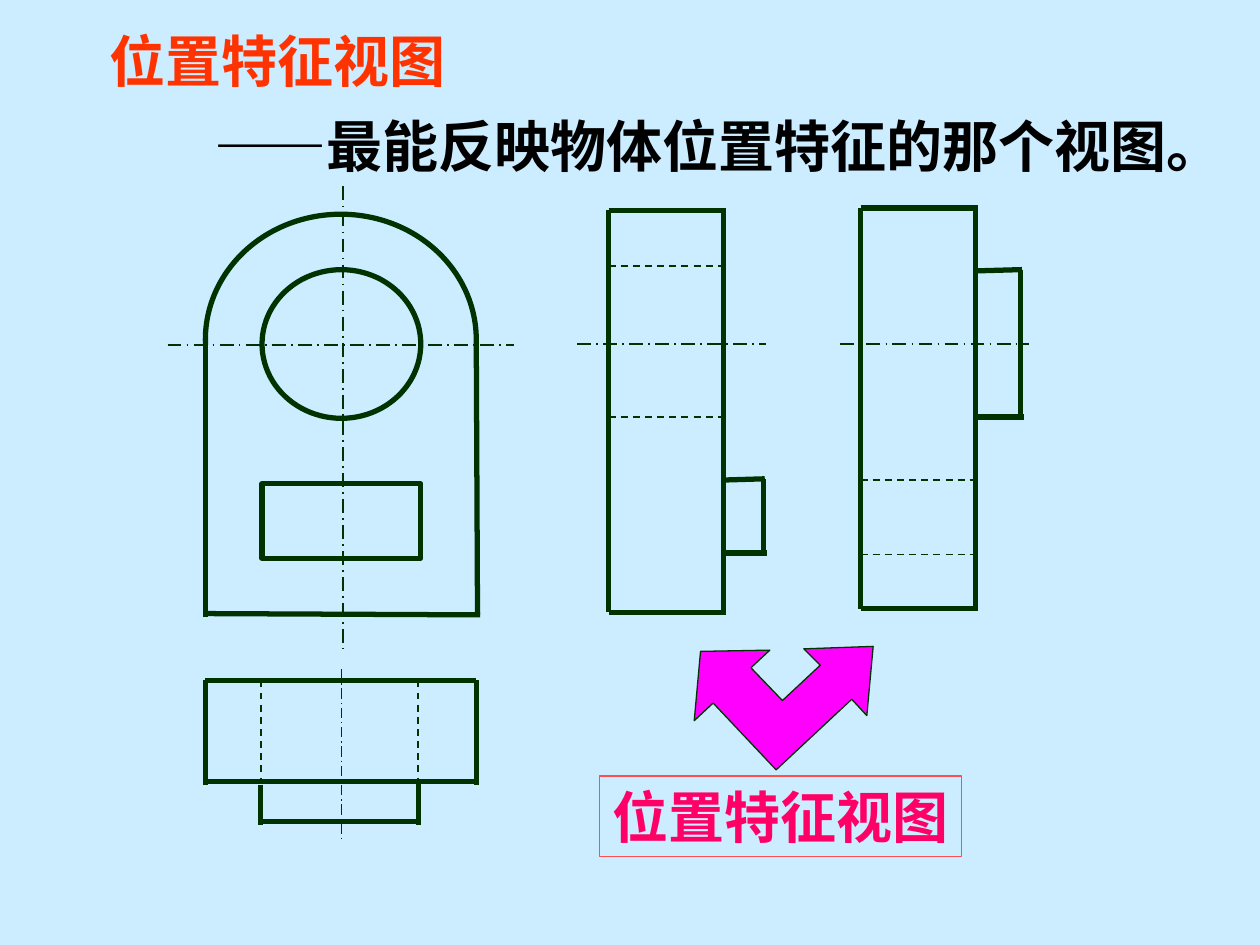
from dataclasses import dataclass

from lxml import etree
from pptx import Presentation, util as u
from pptx.dml.color import RGBColor
from pptx.enum import dml, shapes, text
from pptx.oxml.ns import qn


@dataclass(frozen=True)
class Theme:
    background: str = "CCECFF"
    ink: str = "003300"
    arrow: str = "FF00FF"
    frame: str = "FF5050"
    heading: str = "FF3300"
    label: str = "FF0066"
    body: str = "000000"
    size: int = 32
    thin: float = 0.75
    cjk: str = "Noto Sans CJK SC"
    latin: str = "Times New Roman"


THEME = Theme()
PEN = {  # width in points, dash
    "outline": (3, None),
    "hidden": (1, dml.MSO_LINE.DASH),
    "axis": (1, dml.MSO_LINE.LONG_DASH_DOT),
    "fine axis": (0.75, dml.MSO_LINE.LONG_DASH_DOT),
}
FRAME_FORMAT = {
    "word_wrap": False,
    "auto_size": text.MSO_AUTO_SIZE.NONE,
    "vertical_anchor": text.MSO_ANCHOR.MIDDLE,
    "margin_left": u.Inches(0.1),
    "margin_right": u.Inches(0.1),
    "margin_top": u.Inches(0.05),
    "margin_bottom": u.Inches(0.05),
}

# Levels and columns shared by the views (inches)
LEFT, RIGHT = 1.63, 3.78
HOLE_LEFT, HOLE_WIDTH = 2.08, 1.26
CENTRE, AXIS = 2.72, 2.74
HOLE_TOP, HOLE_BOTTOM = 2.14, 3.31
BLOCK_TOP, BLOCK_BOTTOM = 3.81, 4.4


def rgb(value):
    return RGBColor.from_string(value)


def inches(*values):
    return [u.Inches(value) for value in values]


def paint(shape, fill=None, line=THEME.ink, width=THEME.thin):
    shape.shadow.inherit = False
    if fill:
        shape.fill.solid()
        shape.fill.fore_color.rgb = rgb(fill)
    else:
        shape.fill.background()
    shape.line.color.rgb = rgb(line)
    shape.line.width = u.Pt(width)


def add_preset(slide, kind, box, **look):
    shape = slide.shapes.add_shape(kind, *inches(*box))
    paint(shape, **look)
    return shape


def add_strokes(slide, pen, *strokes):
    """Draw straight strokes, each given as x1, y1, x2, y2."""
    width, dash = PEN[pen]
    for ends in strokes:
        stroke = slide.shapes.add_connector(
            shapes.MSO_CONNECTOR.STRAIGHT, *inches(*ends))
        stroke.line.color.rgb = rgb(THEME.ink)
        stroke.line.width = u.Pt(width)
        if dash:
            stroke.line.dash_style = dash
        etree.SubElement(stroke._element.spPr, qn("a:effectLst"))


def write(shape, runs, color, align=text.PP_ALIGN.LEFT):
    """Fill a shape with one line of (wording, Latin font) runs."""
    for name, value in FRAME_FORMAT.items():
        setattr(shape.text_frame, name, value)
    line = shape.text_frame.paragraphs[0]
    line.alignment = align
    for wording, face in runs:
        run = line.add_run()
        run.text = wording
        font_format = {"size": u.Pt(THEME.size), "bold": True, "name": face}
        for name, value in font_format.items():
            setattr(run.font, name, value)
        run.font.color.rgb = rgb(color)
        east_asian = etree.SubElement(run.font._element, qn("a:ea"))
        east_asian.set("typeface", THEME.cjk)


def add_heading(slide, wording):
    title = slide.shapes.title
    places = zip(("left", "top", "width", "height"),
                 inches(0.77, 0.16, 2.87, 0.64))
    for name, value in places:
        setattr(title, name, value)
    write(title, [(wording, THEME.cjk)], THEME.heading)


def add_definition(slide):
    definition = slide.shapes.add_textbox(*inches(1.6, 0.83, 8.31, 0.64))
    write(definition, [("——", THEME.latin),
                       ("最能反映物体位置特征的那个视图。", THEME.cjk)], THEME.body)


def draw_front_view(slide):
    preset = shapes.MSO_SHAPE
    add_preset(slide, preset.OVAL, (LEFT, 1.7, RIGHT - LEFT, 1.99), width=3)
    # Hides the lower half of the ellipse, leaving the arch
    add_preset(slide, preset.RECTANGLE, (1.48, AXIS, 2.45, 1.03),
               fill=THEME.background, line=THEME.background)
    add_strokes(slide, "axis", (CENTRE, 1.48, CENTRE, 5.15))
    add_preset(slide, preset.OVAL,
               (HOLE_LEFT, HOLE_TOP, HOLE_WIDTH, 1.18), width=3)
    add_strokes(slide, "outline",
                (LEFT, 2.73, LEFT, 4.9),
                (RIGHT, 2.73, 3.79, 4.88),
                (LEFT, 4.87, 3.81, 4.88))
    add_preset(slide, preset.RECTANGLE,
               (HOLE_LEFT, 3.84, HOLE_WIDTH, 0.59), width=3)
    add_strokes(slide, "axis", (1.33, AXIS, 4.08, AXIS))


def draw_top_view(slide):
    back, front, step = 5.4, 6.2, 6.52
    block_left, block_right = 2.07, 3.32
    add_strokes(slide, "fine axis", (2.71, 5.31, 2.71, 6.69))
    add_strokes(slide, "outline",
                *((LEFT, y, RIGHT, y) for y in (back, front)),
                *((x, back, x, 6.23) for x in (LEFT, RIGHT)),
                (block_left, 6.23, block_left, 6.55),
                (block_left, step, block_right, step),
                (block_right, front, block_right, 6.55))
    add_strokes(slide, "hidden",
                (block_left, back, block_left, front),
                (block_right, back, block_right, 6.18))


def draw_side_view(slide, plate, block, hidden_levels, axis_start):
    """Draw a plate (left, top, right, bottom) with a block on its right.

    The block is given as top, right, bottom and the slope of its top edge.
    """
    left, top, right, bottom = plate
    block_top, block_right, block_bottom, slope = block
    add_strokes(slide, "outline",
                *((x, top, x, bottom) for x in (left, right)),
                *((left, y, right + 0.02, y) for y in (top, bottom)),
                (block_right, block_top, block_right, block_bottom + 0.02),
                (right, block_top + slope, block_right + 0.01, block_top),
                (right, block_bottom, block_right + 0.03, block_bottom))
    add_strokes(slide, "axis", (axis_start, 2.73, axis_start + 1.5, 2.73))
    add_strokes(slide, "hidden",
                *((left, y, right, y) for y in hidden_levels))


def draw_double_arrow(slide):
    corners = [(6.93, 5.13), (6.38, 5.15), (6.51, 5.28), (6.21, 5.56),
               (5.96, 5.3), (6.11, 5.16), (5.56, 5.17), (5.51, 5.72),
               (5.66, 5.58), (6.16, 6.11), (6.76, 5.55), (6.88, 5.68)]
    start, *rest = [inches(*corner) for corner in corners]
    builder = slide.shapes.build_freeform(*start)
    builder.add_line_segments(rest, close=True)
    paint(builder.convert_to_shape(), fill=THEME.arrow)


def add_framed_label(slide, wording):
    label = add_preset(slide, shapes.MSO_SHAPE.RECTANGLE,
                       (4.76, 6.16, 2.87, 0.64), line=THEME.frame)
    write(label, [(wording, THEME.cjk)], THEME.label, text.PP_ALIGN.CENTER)


def main():
    deck = Presentation()
    deck.slide_width, deck.slide_height = inches(10, 7.5)
    slide = deck.slides.add_slide(deck.slide_layouts[5])
    slide.background.fill.solid()
    slide.background.fill.fore_color.rgb = rgb(THEME.background)

    topic = "位置特征视图"
    draw_front_view(slide)
    draw_top_view(slide)
    draw_side_view(slide, (4.83, 1.67, 5.74, 4.86), (3.8, 6.06, 4.39, 0.01),
                   (2.11, HOLE_BOTTOM), 4.58)
    draw_side_view(slide, (6.83, 1.65, 7.74, 4.83),
                   (HOLE_TOP, 8.1, HOLE_BOTTOM, 0.01),
                   (BLOCK_TOP, BLOCK_BOTTOM), 6.67)
    add_definition(slide)
    draw_double_arrow(slide)
    add_framed_label(slide, topic)
    add_heading(slide, topic)
    deck.save("out.pptx")


if __name__ == "__main__":
    main()
